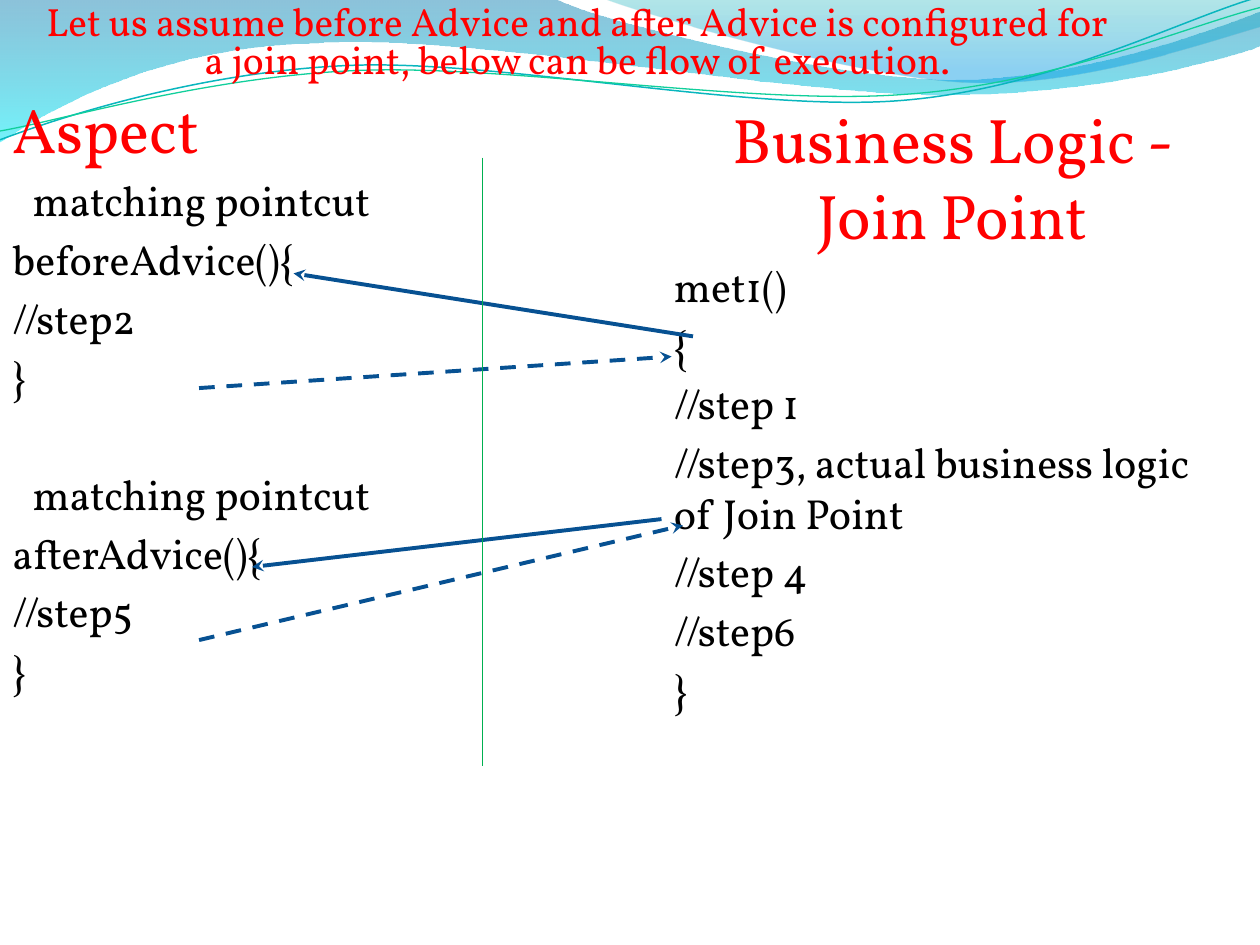
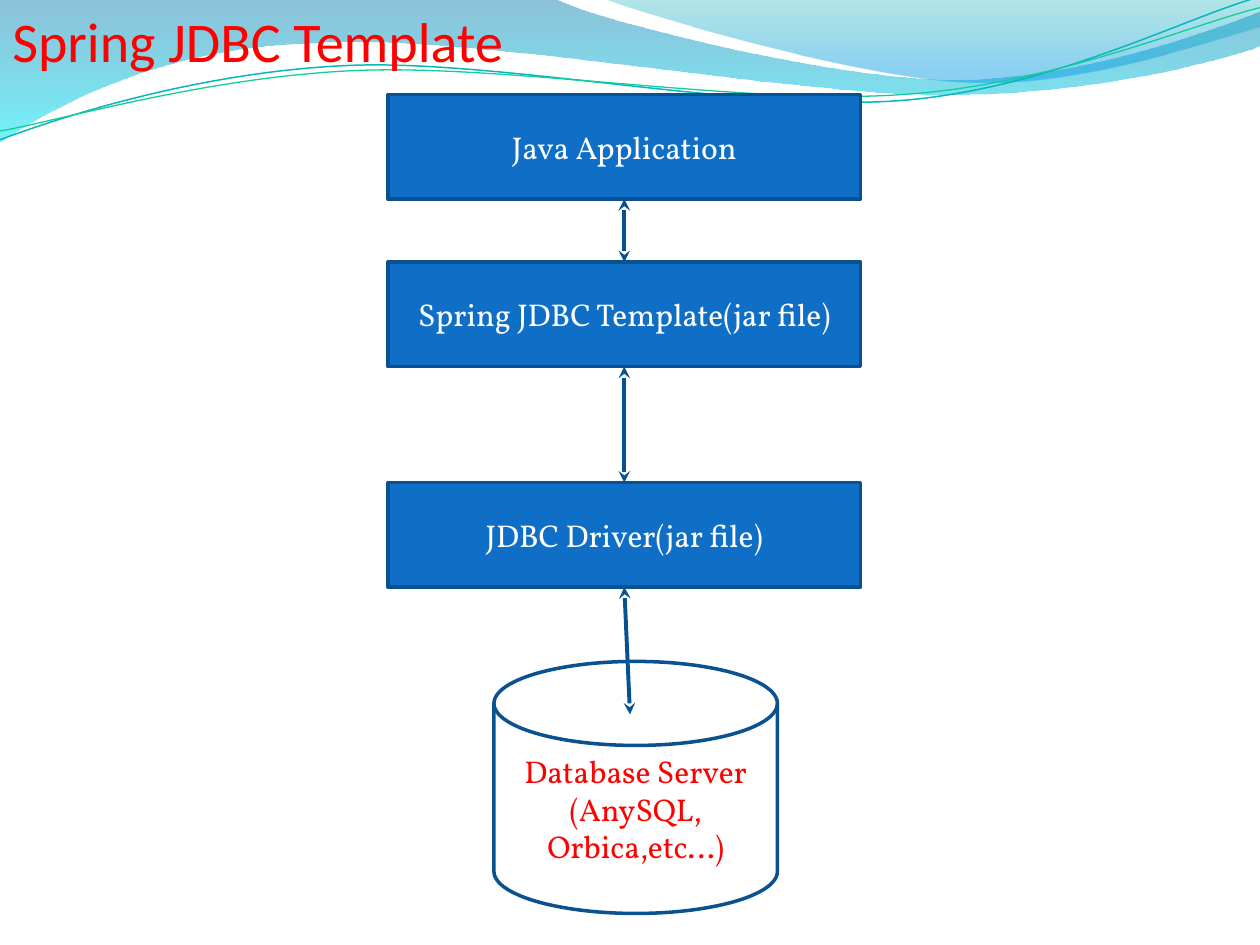
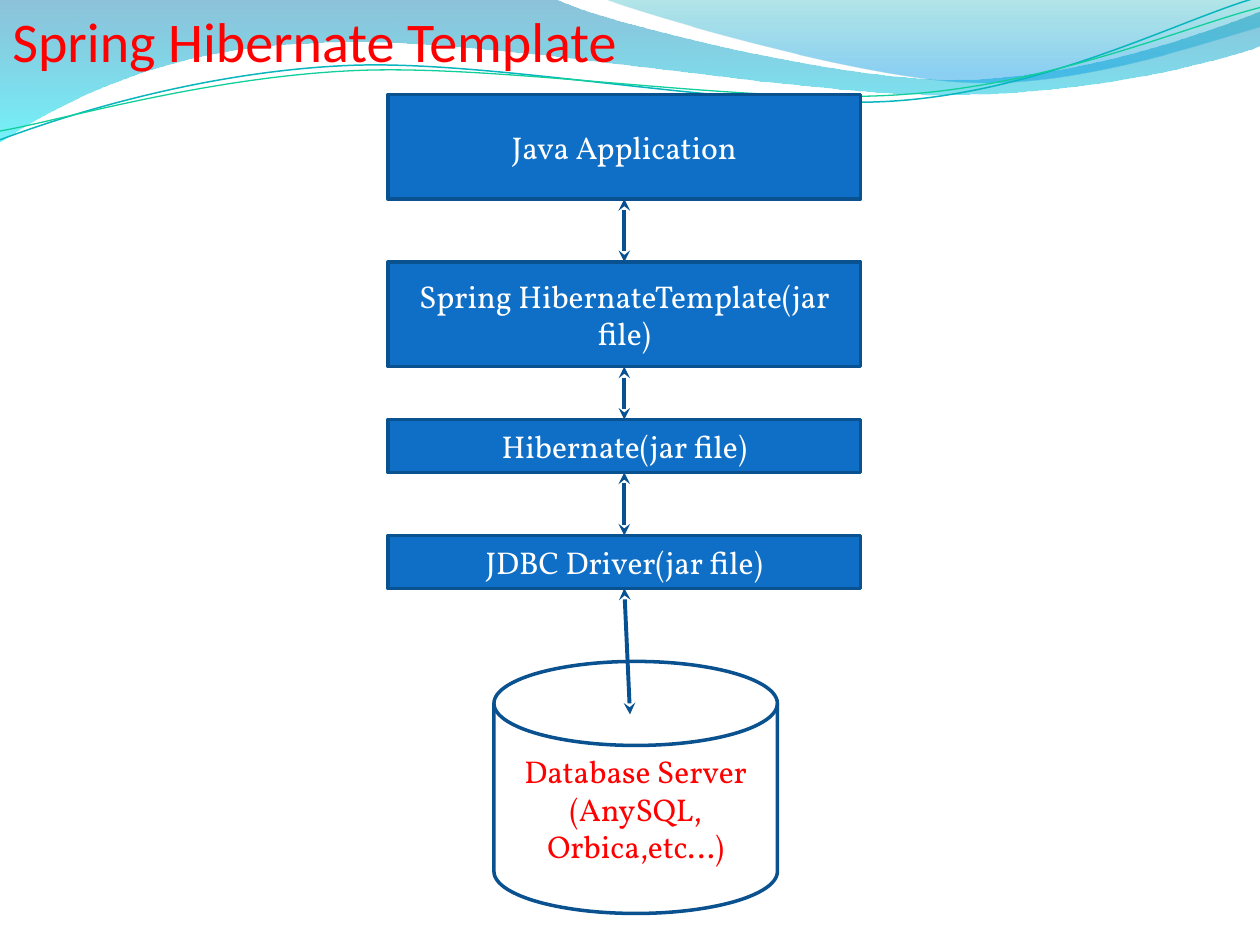
from lxml import etree
from pptx import Presentation
from pptx import util as u
from pptx.dml import color
from pptx.enum import dml, shapes, text
from pptx.oxml import ns

RED, BLACK, WHITE, GREEN = "FF0000", "000000", "FFFFFF", "00B050"
BOX_BLUE, OUTLINE_BLUE, ARROW_BLUE = "0F6FC6", "0A5190", "075192"
BODY_FONT, TITLE_FONT = "Vollkorn", "Calibri"
LEFT, CENTER, JUSTIFY = text.PP_ALIGN.LEFT, text.PP_ALIGN.CENTER, text.PP_ALIGN.JUSTIFY
STACK_LEFT, STACK_WIDTH = 3.08, 3.75

LARGE_WAVE = [
    [(0, 0)], [(4.4, -0.01)],
    [(4.76, 0.17), (6.64, 0.63), (7.58, 0.63)],
    [(8.53, 0.63), (9.58, 0.26), (10, 0.09)], [(10.01, 0.36)],
    [(9.83, 0.44), (8.7, 0.76), (7.46, 0.75)],
    [(6.22, 0.75), (3.82, 0.28), (2.57, 0.34)],
    [(1.29, 0.36), (0.46, 0.83), (-0.01, 1.13)], [(0, 0)],
]
RIGHT_WAVE = [
    [(4.79, -0.01)],
    [(5.09, 0.11), (6.82, 0.62), (7.69, 0.65)],
    [(8.56, 0.69), (9.61, 0.32), (10, 0.21)], [(10, 0)], [(4.79, -0.01)],
]
TEAL_STRAND = [
    [(0, 1.11)],
    [(0.48, 0.93), (1.58, 0.57), (2.77, 0.52)],
    [(3.95, 0.47), (5.93, 0.89), (7.13, 0.8)],
    [(8.33, 0.71), (9.38, 0.15), (9.98, -0.02)],
]
GREEN_STRAND = [
    [(0, 1.04)],
    [(0.47, 0.96), (1.64, 0.61), (2.83, 0.56)],
    [(4.03, 0.51), (5.97, 0.84), (7.17, 0.75)],
    [(8.36, 0.67), (9.41, 0.21), (10, 0.06)],
]


def rgb(value):
    return color.RGBColor.from_string(value)


def inches(*lengths):
    return [u.Inches(length) for length in lengths]


def add_curve(slide, segments, close):
    start, *rest = [inches(*point) for segment in segments for point in segment]
    builder = slide.shapes.build_freeform(*start)
    builder.add_line_segments(rest, close=close)
    curve = builder.convert_to_shape()
    curve.shadow.inherit = False
    steps = iter(list(curve._element.iter(ns.qn("a:lnTo"))))
    for segment in segments[1:]:
        first, *others = [next(steps) for _ in segment]
        if others:
            first.tag = ns.qn("a:cubicBezTo")
        for step in others:
            first.append(step[0])
            step.getparent().remove(step)
    return curve


def add_wave(slide, segments, stops):
    wave = add_curve(slide, segments, True)
    wave.line.fill.background()
    wave.fill.gradient()
    wave.fill.gradient_angle = 270
    for stop, (position, tone, _) in zip(wave.fill.gradient_stops, stops):
        stop.position = position
        stop.color.rgb = rgb(tone)
    tones = wave._element.spPr.findall(".//" + ns.qn("a:srgbClr"))
    for tone, (_, _, opacity) in zip(tones, stops):
        etree.SubElement(tone, ns.qn("a:alpha"), val=str(opacity * 1000))
    return wave


def add_strand(slide, segments, tone, width):
    strand = add_curve(slide, segments, False)
    strand.fill.background()
    set_line(strand, tone, width)
    return strand


def set_line(shape, tone, width):
    shape.line.color.rgb = rgb(tone)
    shape.line.width = u.Pt(width)


def add_waves_to_master(deck, slide):
    waves = [
        add_wave(slide, LARGE_WAVE, [(0, "0079AD", 45), (1, "00E9F7", 55)]),
        add_wave(slide, RIGHT_WAVE, [(0, "00ABB4", 30), (0.8, "0099E4", 45)]),
        add_strand(slide, TEAL_STRAND, "09B6BE", 0.85),
        add_strand(slide, GREEN_STRAND, "10CF9B", 0.75),
    ]
    for number, wave in enumerate(waves, 20):
        wave._element.nvSpPr.cNvPr.set("id", str(number))
        deck.slide_master.shapes._spTree.append(wave._element)


def format_paragraph(paragraph, size, tone, align=LEFT, font=BODY_FONT, before=0):
    paragraph.alignment = align
    paragraph.space_before = u.Pt(before)
    for run in paragraph.runs:
        run.font.size = u.Pt(size)
        run.font.name = font
        run.font.color.rgb = rgb(tone)


def indent(paragraph, first_line):
    properties = paragraph._p.get_or_add_pPr()
    properties.set("marL", str(u.Inches(0.3)))
    properties.set("indent", str(u.Inches(first_line)))


def add_text(slide, place, wording):
    frame = slide.shapes.add_textbox(*inches(*place)).text_frame
    frame.word_wrap = True
    frame.text = wording
    return frame.paragraphs


def add_code_column(slide, place, heading, heading_align, code):
    title, *lines = add_text(slide, place, "\n".join([heading, *code]))
    format_paragraph(title, 36, RED, heading_align)
    for line in lines:
        format_paragraph(line, 24, BLACK, before=4.8)
    return title, *lines


def add_title(slide, wording):
    title = add_text(slide, (0, 0, 10, 0.83), wording)[0]
    format_paragraph(title, 32, RED, JUSTIFY, TITLE_FONT)
    indent(title, -0.3)


def add_line(slide, start, end, tone=ARROW_BLUE, width=2.25, heads=(), dashed=False):
    line = slide.shapes.add_connector(shapes.MSO_CONNECTOR.STRAIGHT, *inches(*start, *end))
    set_line(line, tone, width)
    if dashed:
        line.line.dash_style = dml.MSO_LINE.DASH
    for head in heads:
        etree.SubElement(line.line._get_or_add_ln(), ns.qn("a:" + head), type="stealth")
    etree.SubElement(line._element.spPr, ns.qn("a:effectLst"))
    return line


def add_node(slide, kind, place, wording, tone):
    node = slide.shapes.add_shape(kind, *inches(*place))
    node.shadow.inherit = False
    set_line(node, OUTLINE_BLUE, 2)
    frame = node.text_frame
    frame.word_wrap = True
    frame.vertical_anchor = text.MSO_ANCHOR.MIDDLE
    frame.text = wording
    for paragraph in frame.paragraphs:
        format_paragraph(paragraph, 18, tone, CENTER)
    return node


def add_layer(slide, wording, top, height):
    layer = add_node(slide, shapes.MSO_SHAPE.RECTANGLE,
                     (STACK_LEFT, top, STACK_WIDTH, height), wording, WHITE)
    layer.fill.solid()
    layer.fill.fore_color.rgb = rgb(BOX_BLUE)
    return layer


def add_database(slide):
    database = add_node(slide, shapes.MSO_SHAPE.FLOWCHART_MAGNETIC_DISK, (3.92, 5.25, 2.25, 2),
                        "Database Server\n(AnySQL, Orbica,etc…)", RED)
    database.fill.background()


def add_stack(slide, title, layers):
    add_title(slide, title)
    boxes = [add_layer(slide, *layer) for layer in layers]
    add_database(slide)
    both = ("headEnd", "tailEnd")
    for upper, lower in zip(boxes, boxes[1:]):
        link = add_line(slide, (0, 0), (1, 1), heads=both)
        link.begin_connect(upper, 2)
        link.end_connect(lower, 0)
    add_line(slide, (4.96, 4.67), (5, 5.67), heads=both).begin_connect(boxes[-1], 2)


def add_advice_flow(slide):
    advice = []
    for name, step in (("before", "2"), ("after", "5")):
        advice += ["matching pointcut", f"{name}Advice(){{", f"//step{step}", "}"]
    aspect = add_code_column(slide, (0, 0.67, 4.25, 6.83), "Aspect", LEFT, advice)
    for line in aspect:
        indent(line, -0.14 if line.text == "matching pointcut" else -0.3)
    aspect[5].space_before = u.Pt(38.3)

    add_code_column(slide, (5.25, 0.75, 4.62, 6.75), "Business Logic - Join Point", CENTER,
                    ["met1()", "{", "//step 1", "//step3, actual business logic of Join Point",
                     "//step 4", "//step6", "}"])

    intro = add_text(slide, (0.25, 0, 8.67, 0.83),
                     "Let us assume before Advice and after Advice is configured for "
                     "a join point, below can be flow of execution.")[0]
    format_paragraph(intro, 22.5, RED, CENTER)
    intro.line_spacing = 0.8

    for start, end, returning in (
        ((5.5, 2.67), (2.33, 2.17), False),
        ((5.25, 4.12), (2, 4.5), False),
        ((1.58, 3.08), (5.33, 2.83), True),
        ((1.58, 5.08), (5.42, 4.17), True),
    ):
        add_line(slide, start, end, heads=("tailEnd",), dashed=returning)
    add_line(slide, (3.83, 1.25), (3.83, 6.08), GREEN, 0.75)


def main():
    deck = Presentation()
    deck.slide_width, deck.slide_height = inches(10, 7.5)
    blank = deck.slide_layouts[6]
    advice, jdbc, hibernate = [deck.slides.add_slide(blank) for _ in range(3)]
    add_waves_to_master(deck, advice)

    add_advice_flow(advice)
    add_stack(jdbc, "Spring JDBC Template", [
        ("Java Application", 0.75, 0.83),
        ("Spring JDBC Template(jar file)", 2.08, 0.83),
        ("JDBC Driver(jar file)", 3.83, 0.83),
    ])
    add_stack(hibernate, "Spring Hibernate Template", [
        ("Java Application", 0.75, 0.83),
        ("Spring HibernateTemplate(jar file)", 2.08, 0.83),
        ("Hibernate(jar file)", 3.33, 0.42),
        ("JDBC Driver(jar file)", 4.25, 0.42),
    ])
    deck.save("out.pptx")


if __name__ == "__main__":
    main()
